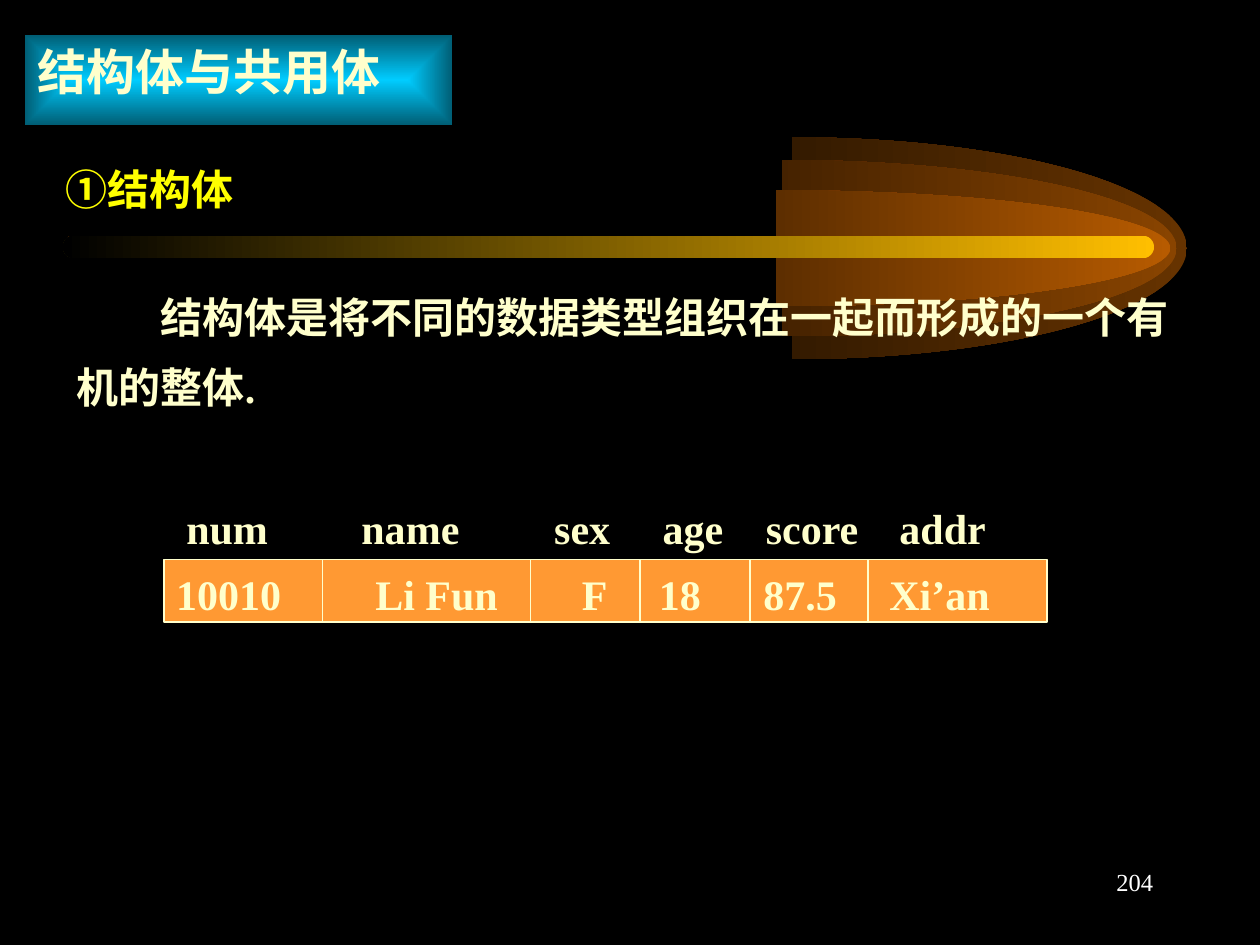
from dataclasses import dataclass

from lxml import etree
from pptx import Presentation
from pptx.dml.color import RGBColor
from pptx.enum.shapes import MSO_CONNECTOR, MSO_SHAPE
from pptx.enum.text import MSO_ANCHOR, MSO_AUTO_SIZE, PP_ALIGN
from pptx.oxml.ns import qn
from pptx.util import Inches, Pt

RECTANGLE, ROUND_RECT = MSO_SHAPE.RECTANGLE, MSO_SHAPE.ROUNDED_RECTANGLE
STRAIGHT = MSO_CONNECTOR.STRAIGHT
LEFT, RIGHT = PP_ALIGN.LEFT, PP_ALIGN.RIGHT
TOP, MIDDLE = MSO_ANCHOR.TOP, MSO_ANCHOR.MIDDLE
FIXED = MSO_AUTO_SIZE.NONE


@dataclass(frozen=True)
class Theme:
    font: str = "Times New Roman"
    background: str = "000000"
    cream: str = "FFFFCC"
    yellow: str = "FFFF00"
    white: str = "FFFFFF"
    record: str = "FF9933"
    bar: str = "FFBF00"
    banner_center: str = "00CCFF"
    banner_edge: str = "005E75"
    title_size: int = 28
    text_size: int = 24
    number_size: int = 14


@dataclass(frozen=True)
class Shell:
    """Right half of an ellipse, fading to the left."""
    left: float
    half_height: float
    color: str


@dataclass(frozen=True)
class Field:
    """One member of the structure; tabs place its two texts."""
    name: str
    value: str
    left: float
    name_tab: float
    value_tab: float


THEME = Theme()
SHELL_RADIUS, SHELL_CENTER_Y = 3.13, 1.97
ARC = 0.5523  # control length of a quarter ellipse
SHELLS = [
    Shell(3.16, 0.88, "663300"),
    Shell(3.08, 0.7, "894400"),
    Shell(3.03, 0.46, "B75B00"),
]
RECORD_LEFT, RECORD_TOP, RECORD_WIDTH, RECORD_HEIGHT = 1.3, 4.44, 7.01, 0.5
FIELDS = [
    Field("num", "10010", 1.3, 0, 0),
    Field("name", "Li Fun", 2.56, 1.39, 1.58),
    Field("sex", "F", 4.21, 2.92, 3.22),
    Field("age", "18", 5.08, 3.78, 3.83),
    Field("score", "87.5", 5.95, 4.6, 4.66),
    Field("addr", "Xi’an", 6.89, 5.66, 5.66),
]


def rgb(color: str) -> RGBColor:
    return RGBColor.from_string(color)


def place(shape, left: float, top: float, width: float, height: float) -> None:
    shape.left, shape.top = Inches(left), Inches(top)
    shape.width, shape.height = Inches(width), Inches(height)


def fade(shape, first: str, last: str) -> None:
    """Linear gradient with the first colour on the right."""
    shape.fill.gradient()
    shape.fill.gradient_angle = 180
    for stop, color in zip(shape.fill.gradient_stops, (first, last)):
        stop.color.rgb = rgb(color)


def make_rectangular(shape) -> None:
    """Turn a linear gradient into one that spreads from the centre."""
    gradient = shape._element.spPr.find(qn("a:gradFill"))
    gradient.remove(gradient.find(qn("a:lin")))
    spread = etree.SubElement(gradient, qn("a:path"), path="rect")
    etree.SubElement(spread, qn("a:fillToRect"),
                     {side: "50000" for side in "ltrb"})


def write(frame, text: str, size: int, color: str, bold: bool = True,
          align=LEFT):
    paragraph = frame.paragraphs[0]
    paragraph.alignment = align
    paragraph.space_before = Pt(0)
    run = paragraph.add_run()
    run.text = text
    run.font.name, run.font.size, run.font.bold = THEME.font, Pt(size), bold
    run.font.color.rgb = rgb(color)
    return paragraph


def write_columns(frame, texts: list[str], tabs: list[float]) -> None:
    paragraph = write(frame, "\t".join(texts), THEME.text_size, THEME.cream)
    stops = etree.SubElement(paragraph._p.get_or_add_pPr(), qn("a:tabLst"))
    for tab in tabs[1:]:
        etree.SubElement(stops, qn("a:tab"), pos=str(Inches(tab)), algn="l")


def add_label(slide, box: tuple):
    frame = slide.shapes.add_textbox(*map(Inches, box)).text_frame
    frame.word_wrap = True
    return frame


def curve(line, *controls: tuple) -> None:
    """Turn a straight path segment into a Bézier curve."""
    line.tag = qn("a:cubicBezTo")
    for index, (x, y) in enumerate(controls):
        point = etree.Element(qn("a:pt"), x=str(int(x)), y=str(int(y)))
        line.insert(index, point)


def add_shell(slide, shell: Shell) -> None:
    left, center_y = Inches(shell.left), Inches(SHELL_CENTER_Y)
    rx, ry = Inches(SHELL_RADIUS), Inches(shell.half_height)
    # The left end point makes the gradient span the full ellipse
    builder = slide.shapes.build_freeform(left, center_y)
    builder.add_line_segments([(left, center_y)])
    builder.move_to(left + rx, center_y - ry)
    builder.add_line_segments([(left + 2 * rx, center_y),
                               (left + rx, center_y + ry),
                               (left + rx, center_y)])
    half_ellipse = builder.convert_to_shape()
    lines = list(half_ellipse._element.iter(qn("a:lnTo")))
    upper, lower = lines[-3], lines[-2]
    curve(upper, (rx * (1 + ARC), 0), (2 * rx, ry * (1 - ARC)))
    curve(lower, (2 * rx, ry * (1 + ARC)), (rx * (1 + ARC), 2 * ry))
    half_ellipse.shadow.inherit = False
    fade(half_ellipse, shell.color, THEME.background)
    half_ellipse.line.fill.background()


def add_bar(slide) -> None:
    bar = slide.shapes.add_shape(ROUND_RECT, *map(Inches, (0.5, 1.87, 8.66, 0.18)))
    bar.adjustments[0] = 0.5
    bar.shadow.inherit = False
    fade(bar, THEME.bar, THEME.background)
    bar.line.fill.background()


def add_divider(slide, x: float) -> None:
    divider = slide.shapes.add_connector(
        STRAIGHT, Inches(x), Inches(RECORD_TOP),
        Inches(x), Inches(RECORD_TOP + RECORD_HEIGHT))
    divider.line.color.rgb, divider.line.width = rgb(THEME.cream), Pt(1)
    etree.SubElement(divider._element.spPr, qn("a:effectLst"))


def add_record(slide) -> None:
    record = slide.shapes.add_shape(RECTANGLE, *map(
        Inches, (RECORD_LEFT, RECORD_TOP, RECORD_WIDTH, RECORD_HEIGHT)))
    record.shadow.inherit = False
    record.fill.solid()
    record.fill.fore_color.rgb = rgb(THEME.record)
    record.line.color.rgb, record.line.width = rgb(THEME.cream), Pt(1)
    values = record.text_frame
    values.vertical_anchor, values.margin_top = MIDDLE, Inches(0.1)
    write_columns(values, [field.value for field in FIELDS],
                  [field.value_tab for field in FIELDS])
    for field in FIELDS[1:]:
        add_divider(slide, field.left)
    names = add_label(slide, (1.38, 3.91, 6.85, 0.5))
    names.margin_top = Inches(0.08)
    write_columns(names, [field.name for field in FIELDS],
                  [field.name_tab for field in FIELDS])


def format_title(title) -> None:
    place(title, 0.2, 0.28, 3.39, 0.71)
    fade(title, THEME.banner_center, THEME.banner_edge)
    make_rectangular(title)
    frame = title.text_frame
    frame.auto_size, frame.vertical_anchor = FIXED, TOP
    frame.word_wrap = False
    write(frame, "结构体与共用体", THEME.title_size, THEME.cream)


def format_definition(body) -> None:
    place(body, 0.51, 2.1, 9.17, 1.22)
    body.text_frame.auto_size = FIXED
    paragraph = write(body.text_frame,
                      "结构体是将不同的数据类型组织在一起而形成的一个有机的整体.",
                      THEME.text_size, THEME.cream)
    paragraph.line_spacing = 1.4
    # First line set in by two characters, without a bullet
    properties = paragraph._p.get_or_add_pPr()
    properties.set("marL", "0")
    properties.set("indent", str(Pt(2 * THEME.text_size)))
    etree.SubElement(properties, qn("a:buNone"))


def main() -> None:
    deck = Presentation()
    deck.slide_width, deck.slide_height = Inches(10), Inches(7.5)
    slide = deck.slides.add_slide(deck.slide_layouts[1])
    slide.background.fill.solid()
    slide.background.fill.fore_color.rgb = rgb(THEME.background)

    # Comet behind the text
    for shell in SHELLS:
        add_shell(slide, shell)
    add_bar(slide)

    # Title and definition, brought in front of the comet
    title, definition = slide.shapes.title, slide.placeholders[1]
    for placeholder in (definition, title):
        slide.shapes._spTree.append(placeholder._element)
    format_title(title)
    format_definition(definition)

    # Section heading, sample record and page number
    write(add_label(slide, (0.42, 1.25, 2, 0.5)), "①结构体",
          THEME.text_size, THEME.yellow)
    add_record(slide)
    write(add_label(slide, (7.17, 6.83, 2.08, 0.5)), "204",
          THEME.number_size, THEME.white, bold=False, align=RIGHT)
    deck.save("out.pptx")


if __name__ == "__main__":
    main()
